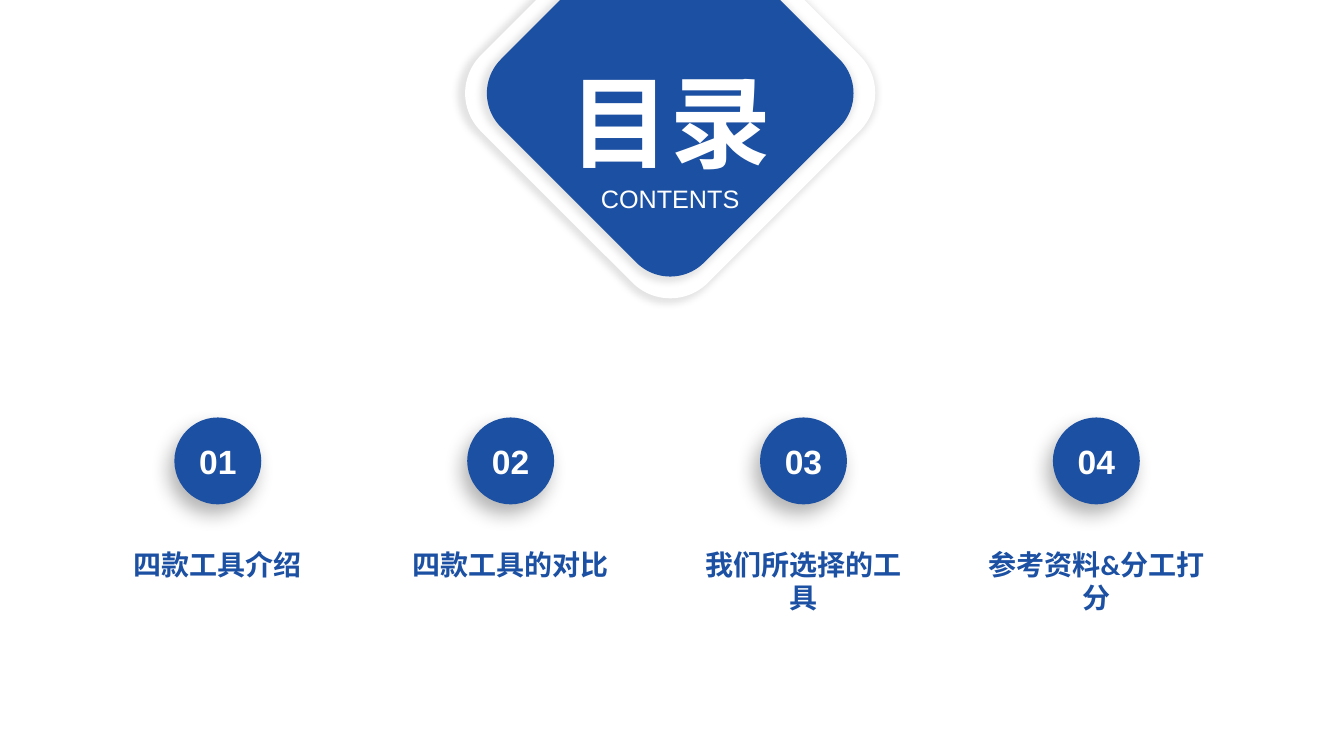
from lxml.etree import SubElement
from pptx import Presentation
from pptx.dml.color import RGBColor as Rgb
from pptx.enum.shapes import MSO_SHAPE as Shape
from pptx.enum.text import MSO_ANCHOR as Anchor, PP_ALIGN as Align
from pptx.oxml.ns import qn
from pptx.util import Cm, Pt

COLORS = {"blue": "1C50A2", "white": "FFFFFF", "black": "000000"}
ITEMS = ["四款工具介绍", "四款工具的对比", "我们所选择的工具", "参考资料&分工打分"]
MID = 16.89  # centre line of the diamond, cm
STEP = 7.38  # distance between items, cm


def color(name):
    return Rgb.from_string(COLORS[name])


def add_shadow(shape, alpha, blur, dist=0, angle=0, scale=100):
    shape.shadow.inherit = False
    effects = shape._element.spPr.find(qn("a:effectLst"))
    outer = SubElement(
        effects, qn("a:outerShdw"), blurRad=str(Pt(blur)), dist=str(Pt(dist)),
        dir=str(angle * 60000), sx=str(scale * 1000), sy=str(scale * 1000),
        algn="ctr", rotWithShape="0")
    tint = SubElement(outer, qn("a:srgbClr"), val=COLORS["black"])
    SubElement(tint, qn("a:alpha"), val=str(alpha * 1000))


def add_run(frame, text, size, font, tone, bold=True):
    para = frame.paragraphs[0]
    para.alignment = Align.CENTER
    run = para.add_run()
    run.text = text
    run.font.size = Pt(size)
    run.font.name = font
    run.font.bold = bold
    run.font.color.rgb = color(tone)
    # The same font for Chinese text
    SubElement(run.font._element, qn("a:ea"), typeface=font)


def add_solid(slide, kind, mid, top, size, tone):
    shape = slide.shapes.add_shape(
        kind, Cm(mid - size / 2), Cm(top), Cm(size), Cm(size))
    shape.fill.solid()
    shape.fill.fore_color.rgb = color(tone)
    shape.line.fill.background()
    return shape


def add_diamond(slide, size, tone):
    shape = add_solid(slide, Shape.ROUNDED_RECTANGLE, MID, 2.35 - size / 2, size, tone)
    shape.rotation = 45
    add_shadow(shape, 11, 5, scale=102)


def add_label(slide, mid, top, width, height, inset=(0.25, 0.13)):
    box = slide.shapes.add_textbox(
        Cm(mid - width / 2), Cm(top), Cm(width), Cm(height))
    frame = box.text_frame
    frame.word_wrap = True
    frame.margin_left = frame.margin_right = Cm(inset[0])
    frame.margin_top = frame.margin_bottom = Cm(inset[1])
    return frame


def add_badge(slide, mid, number):
    badge = add_solid(slide, Shape.OVAL, mid, 10.52, 2.19, "blue")
    add_shadow(badge, 30, 14, 8, 120)
    frame = badge.text_frame
    frame.vertical_anchor = Anchor.MIDDLE
    frame.margin_left = frame.margin_right = 0
    add_run(frame, f"{number:02}", 24, "Arial", "white")


def main():
    deck = Presentation()
    deck.slide_width, deck.slide_height = Cm(33.87), Cm(19.05)
    slide = deck.slides.add_slide(deck.slide_layouts[6])

    # Diamond with the title
    add_diamond(slide, 8.1, "white")
    add_diamond(slide, 7.24, "blue")
    add_run(add_label(slide, MID, 1.37, 9.65, 3.33),
            "目录", 72, "Calibri", "white")
    add_run(add_label(slide, MID, 4.5, 9.65, 1.02),
            "CONTENTS", 18, "Arial", "white", False)

    # Numbered items
    for i, text in enumerate(ITEMS):
        mid = 5.49 + i * STEP
        add_badge(slide, mid, i + 1)
        add_run(add_label(slide, mid, 13.69, 5.84, 1.04, (0.18, 0.1)),
                text, 20, "Calibri", "blue")

    deck.save("out.pptx")


if __name__ == "__main__":
    main()
